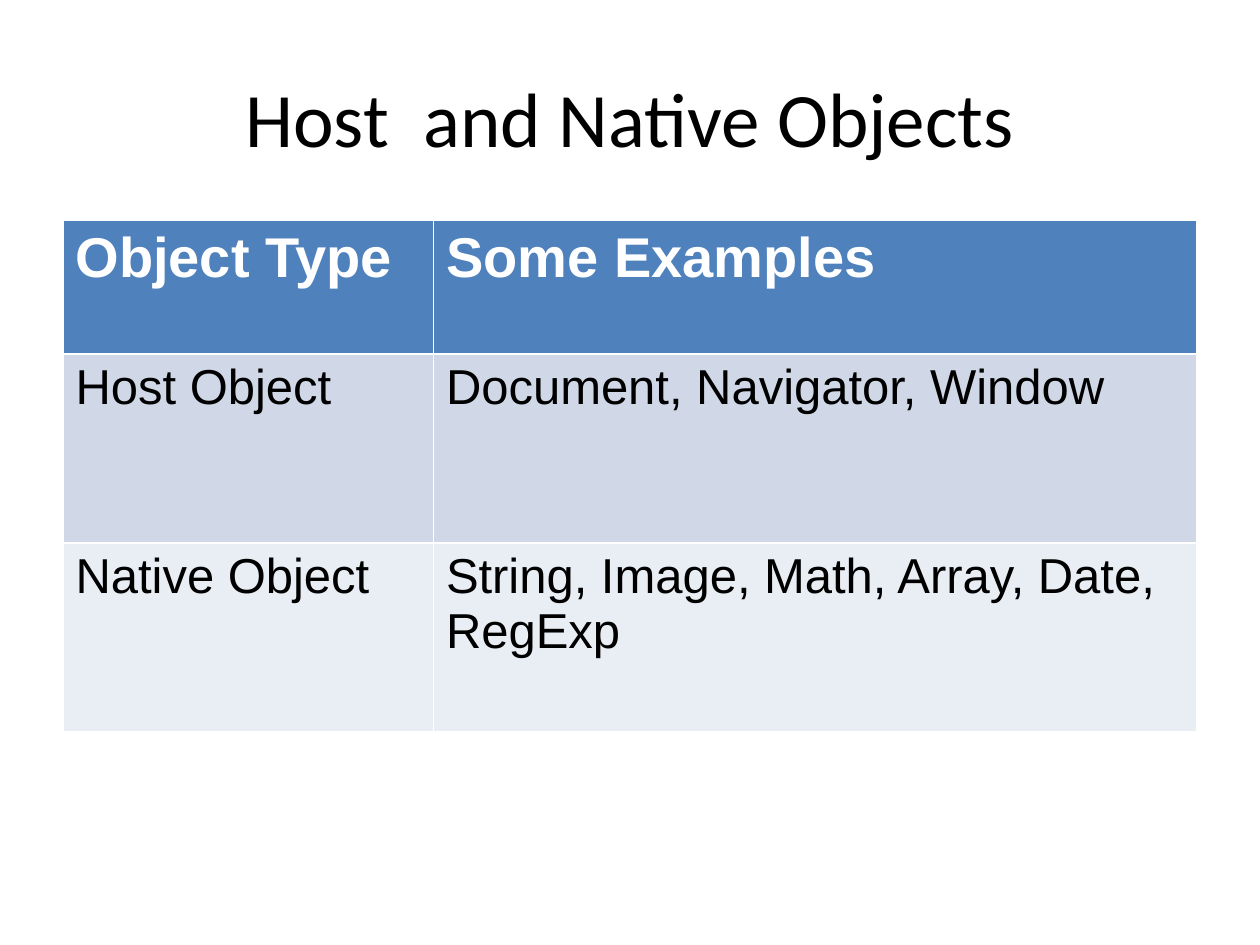
from dataclasses import dataclass

from pptx import Presentation
from pptx.dml.color import RGBColor
from pptx.enum.text import MSO_ANCHOR, PP_ALIGN
from pptx.slide import Slide
from pptx.util import Inches, Pt

COLORS = {
    "black": "000000",
    "white": "FFFFFF",
    "header": "4F81BD",
    "dark_band": "D0D8E8",
    "light_band": "E9EDF4",
}


@dataclass
class TableRow:
    texts: tuple[str, str]
    height: float
    fill: str
    size: int = 28
    color: str = "black"
    bold: bool = False


COLUMN_WIDTHS = (2.94, 6.06)
ROWS = (
    TableRow(("Object Type", "Some Examples"), 1.06, "header", 32, "white", True),
    TableRow(("Host Object", "Document, Navigator, Window"), 1.5, "dark_band"),
    TableRow(("Native Object", "String, Image, Math, Array, Date, RegExp"), 1.5, "light_band"),
)


def rgb(name: str) -> RGBColor:
    return RGBColor.from_string(COLORS[name])


def style_font(font, name: str, size: int, color: str, bold: bool = False) -> None:
    font.name = name
    font.size = Pt(size)
    font.bold = bold
    font.color.rgb = rgb(color)


def add_title(slide: Slide, text: str) -> None:
    title = slide.shapes.title
    title.left, title.top = Inches(0.5), Inches(0.3)
    title.width, title.height = Inches(9), Inches(1.25)
    title.text_frame.text = text
    title.text_frame.vertical_anchor = MSO_ANCHOR.MIDDLE
    paragraph = title.text_frame.paragraphs[0]
    paragraph.alignment = PP_ALIGN.CENTER
    style_font(paragraph.font, "Calibri", 44, "black")


def add_object_table(slide: Slide, rows: tuple[TableRow, ...]) -> None:
    """The default table style supplies the white cell borders."""
    table = slide.shapes.add_table(
        len(rows), len(COLUMN_WIDTHS), Inches(0.5), Inches(1.75),
        Inches(sum(COLUMN_WIDTHS)), Inches(sum(row.height for row in rows)),
    ).table
    for column, width in zip(table.columns, COLUMN_WIDTHS):
        column.width = Inches(width)
    for table_row, row in zip(table.rows, rows):
        table_row.height = Inches(row.height)
        for cell, text in zip(table_row.cells, row.texts):
            cell.text = text
            cell.fill.solid()
            cell.fill.fore_color.rgb = rgb(row.fill)
            style_font(cell.text_frame.paragraphs[0].font, "Arial", row.size, row.color, row.bold)


def main() -> None:
    presentation = Presentation()
    presentation.slide_width, presentation.slide_height = Inches(10), Inches(7.5)
    slide = presentation.slides.add_slide(presentation.slide_layouts[5])
    add_title(slide, "Host  and Native Objects")
    add_object_table(slide, ROWS)
    presentation.save("out.pptx")


if __name__ == "__main__":
    main()
